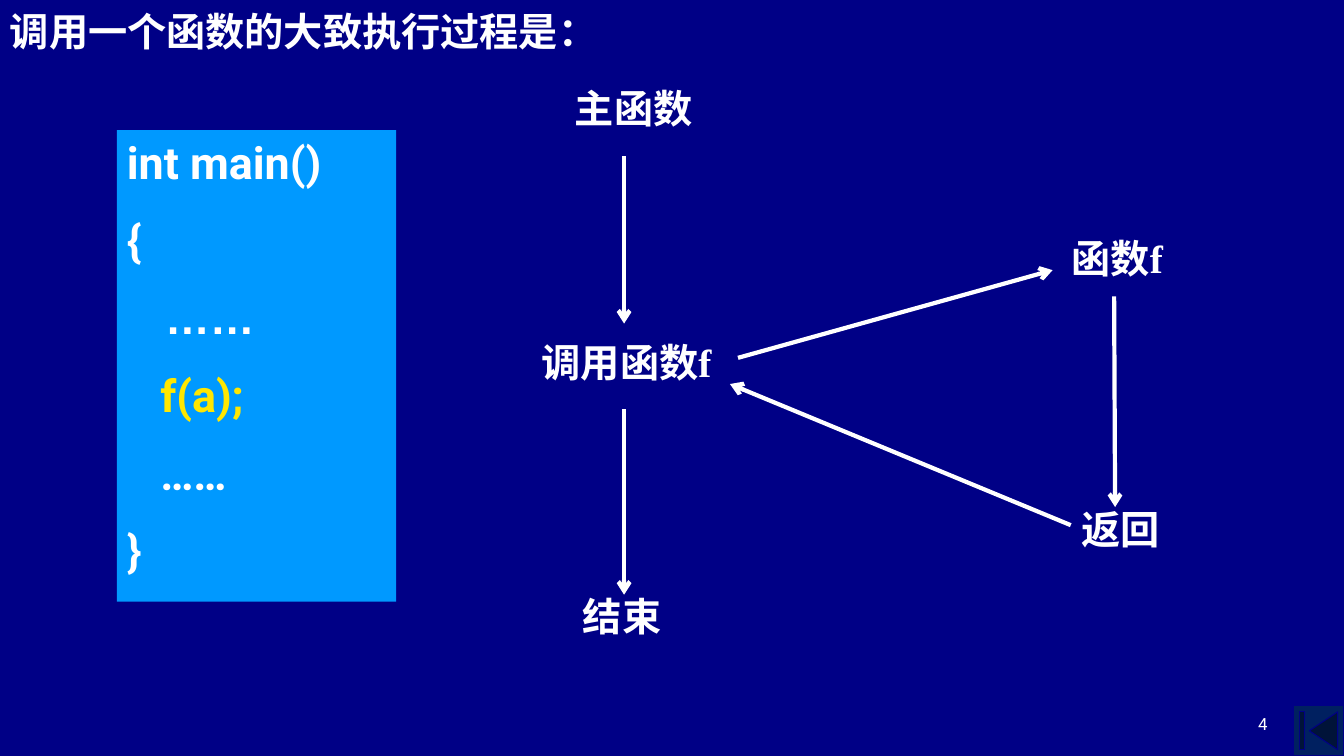
from pptx import Presentation
from pptx.dml.color import RGBColor
from pptx.enum.shapes import MSO_CONNECTOR, MSO_SHAPE
from pptx.enum.text import MSO_ANCHOR, PP_ALIGN
from pptx.oxml.ns import qn
from pptx.util import Pt
from lxml.etree import SubElement

PX = 9144  # 100 px to the inch
NAVY = RGBColor(0x00, 0x00, 0x86)
BUTTON_BLUE = RGBColor(0x00, 0x20, 0x60)
CODE_BLUE = RGBColor(0x00, 0x99, 0xFF)
WHITE = RGBColor(0xFF, 0xFF, 0xFF)
YELLOW = RGBColor(0xFF, 0xE7, 0x01)

TITLE = "调用一个函数的大致执行过程是："
PAGE_NUMBER = "4"
CODE_LINES = [  # text, font, colour
    ("int main()", "Roboto", WHITE),
    ("{", "Roboto", WHITE),
    ("\t……", "Arial", WHITE),
    ("   f(a);", "Roboto", YELLOW),
    ("   ……", "Roboto", WHITE),
    ("}", "Roboto", WHITE),
]
STEPS = [  # text, (left, top, width, height)
    ("主函数", (542, 84, 173, 61)),
    ("调用函数f", (509, 336, 225, 55)),
    ("返回", (1044, 501, 134, 60)),
    ("结束", (517, 588, 200, 60)),
    ("函数f", (1053, 232, 110, 62)),
]
ARROWS = [  # start, end
    ((619, 155), (619, 321)),
    ((619, 406), (619, 590)),
    ((732, 355), (1044, 268)),
    ((1105, 294), (1106, 503)),
    ((1062, 521), (724, 381)),
]


def to_emu(lengths):
    return [length * PX for length in lengths]


def style(paragraph, text, size, font="Roboto", color=WHITE, bold=True):
    paragraph.text = text
    paragraph.font.name = font
    paragraph.font.size = Pt(size)
    paragraph.font.bold = bold
    paragraph.font.color.rgb = color


def add_box(page, place):
    box = page.shapes.add_textbox(*to_emu(place))
    box.text_frame.word_wrap = True
    return box


def add_step(page, text, place):
    frame = add_box(page, place).text_frame
    frame.margin_left = frame.margin_right = 0
    frame.margin_top = frame.margin_bottom = 0
    para = frame.paragraphs[0]
    para.alignment = PP_ALIGN.CENTER
    style(para, text, 28, "Times New Roman")


def add_arrow(page, start, end):
    arrow = page.shapes.add_connector(MSO_CONNECTOR.STRAIGHT, *to_emu(start + end))
    arrow.line.color.rgb = WHITE
    arrow.line.width = Pt(3)
    SubElement(arrow.line._get_or_add_ln(), qn("a:tailEnd"), type="arrow")
    SubElement(arrow._element.spPr, qn("a:effectLst"))


def add_code(page):
    box = add_box(page, (116, 129, 277, 468))
    box.fill.solid()
    box.fill.fore_color.rgb = CODE_BLUE
    frame = box.text_frame
    for number, (text, font, color) in enumerate(CODE_LINES):
        para = frame.add_paragraph() if number else frame.paragraphs[0]
        properties = para._p.get_or_add_pPr()
        properties.set("marL", str(38 * PX))
        properties.set("indent", str(-38 * PX))
        if number:
            para.space_before = Pt(17)
        style(para, text, 32, font, color)


def add_page_number(page):
    frame = add_box(page, (956, 683, 311, 50)).text_frame
    frame.vertical_anchor = MSO_ANCHOR.BOTTOM
    frame.paragraphs[0].alignment = PP_ALIGN.RIGHT
    style(frame.paragraphs[0], PAGE_NUMBER, 12, bold=False)


def add_back_button(page):
    button = page.shapes.add_shape(
        MSO_SHAPE.ACTION_BUTTON_BEGINNING, *to_emu((1283, 700, 50, 50)))
    button.shadow.inherit = False
    button.fill.solid()
    button.fill.fore_color.rgb = BUTTON_BLUE
    button.line.color.rgb = NAVY
    button.line.width = Pt(0.75)


def main():
    deck = Presentation()
    deck.slide_width, deck.slide_height = to_emu((1333, 750))
    page = deck.slides.add_slide(deck.slide_layouts[6])
    page.background.fill.solid()
    page.background.fill.fore_color.rgb = NAVY

    add_back_button(page)
    add_page_number(page)
    for text, place in STEPS:
        add_step(page, text, place)
    for start, end in ARROWS:
        add_arrow(page, start, end)
    title = add_box(page, (0, 2, 925, 57))
    style(title.text_frame.paragraphs[0], TITLE, 28)
    add_code(page)
    deck.save("out.pptx")


if __name__ == "__main__":
    main()
